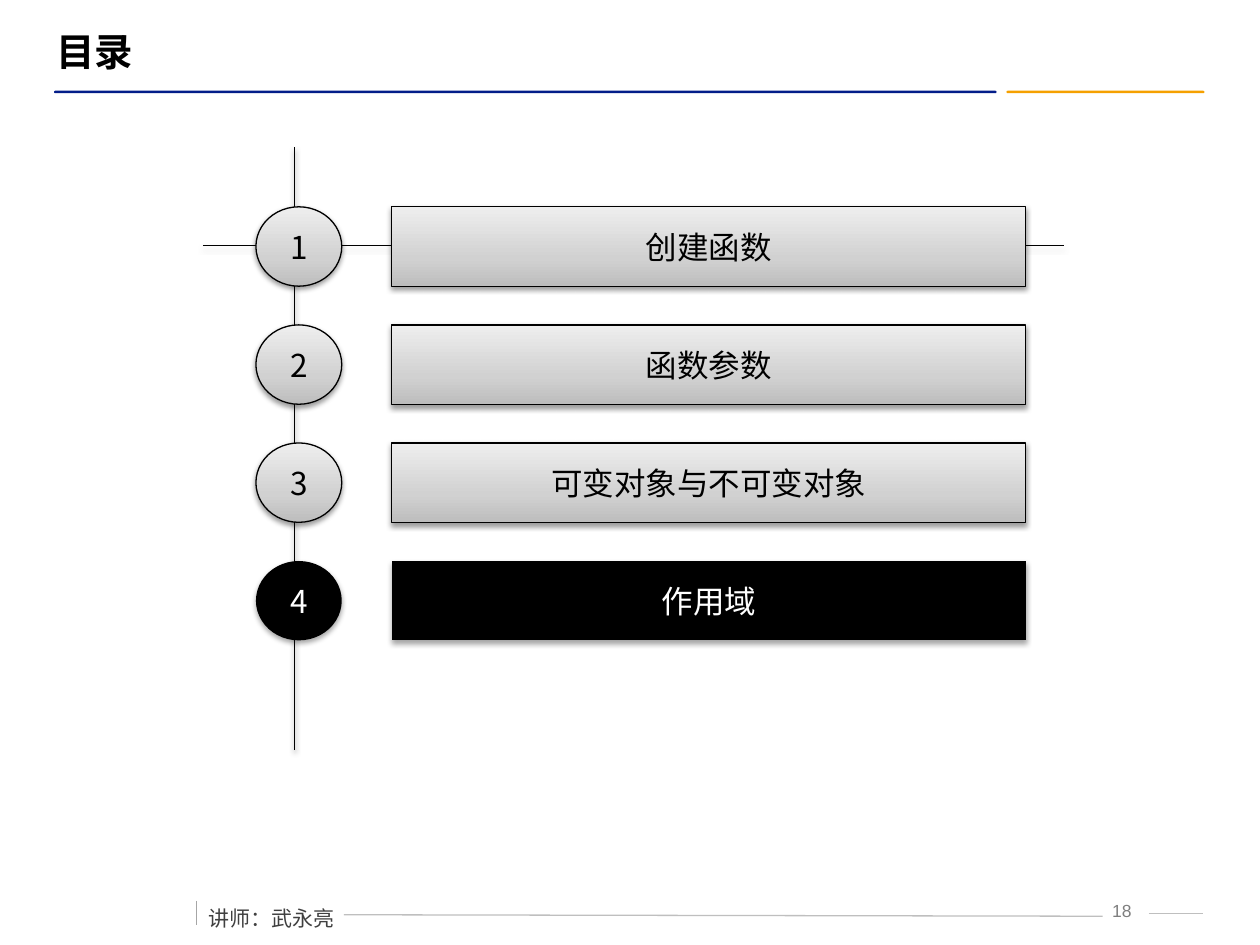
import pptx
import pptx.util
import pptx.dml.color
import pptx.enum.shapes
import pptx.enum.text
import pptx.oxml
import pptx.oxml.ns
from lxml import etree

Cm = pptx.util.Cm
Pt = pptx.util.Pt
SHAPE = pptx.enum.shapes.MSO_SHAPE
ALIGN = pptx.enum.text.PP_ALIGN
ANCHOR = pptx.enum.text.MSO_ANCHOR

COLORS = {"ink": "000000", "paper": "FFFFFF", "navy": "031D89", "orange": "F5A000",
          "rule": "BFBFBF", "tick": "A6A6A6", "number": "7F7F7F", "footer": "404040"}
GRADIENT = [(0, "BDBDBD"), (35, "D1D1D1"), (100, "EEEEEE")]
CJK = "Noto Sans CJK SC"

TOPICS = ["创建函数", "函数参数", "可变对象与不可变对象", "作用域"]
CURRENT = 3
FIRST_TOP, PITCH, HEIGHT = 4.17, 2.38, 1.6
COLUMNS = {"number": (SHAPE.OVAL, 5.16, 1.73),
           "topic": (SHAPE.ACTION_BUTTON_CUSTOM, 7.9, 12.78)}

HEADER_BARS = [(20.29, 3.99, "orange"), (1.09, 19, "navy")]
FOOTER_LINES = [(6.93, 18.44, 22.23, 18.47, "rule"), (23.16, 18.42, 24.26, 18.42, "rule"),
                (3.96, 18.16, 3.96, 18.64, "tick")]
AXES = [(5.94, 2.97, 5.94, 15.11, "ink"), (4.09, 4.95, 21.44, 4.95, "ink")]

TEXTS = [
    {"text": "目录", "at": (0.89, 0.43, 22.61, 1.19), "size": 22, "font": "Arial",
     "color": "ink", "bold": True, "frame": {"vertical_anchor": ANCHOR.MIDDLE}},
    {"text": "18", "at": (22.02, 18.01, 1.19, 0.64), "size": 10, "font": "Arial",
     "color": "number", "para": {"alignment": ALIGN.CENTER}},
    {"text": "讲师：武永亮", "at": (3.96, 17.88, 3.07, 0.91), "size": 12, "font": CJK,
     "color": "footer", "frame": {"word_wrap": False},
     "para": {"line_spacing": 1.5, "space_before": Pt(6)}},
]


def color(name):
    return pptx.dml.color.RGBColor.from_string(COLORS[name])


def assign(target, values):
    for name, value in values.items():
        setattr(target, name, value)


def write(shape, text, size, font, ink, bold=False, frame=None, para=None):
    assign(shape.text_frame, {"word_wrap": True, **(frame or {})})
    paragraph = shape.text_frame.paragraphs[0]
    assign(paragraph, para or {})
    span = paragraph.add_run()
    span.text = text
    assign(span.font, {"size": Pt(size), "name": font, "bold": bold})
    span.font.color.rgb = color(ink)
    latin = span.font._element.find(pptx.oxml.ns.qn("a:latin"))
    east = etree.Element(pptx.oxml.ns.qn("a:ea"), typeface=CJK)
    latin.addnext(east)


def add_effects(properties, alpha=None, distance=1.6):
    effects = properties.find(pptx.oxml.ns.qn("a:effectLst"))
    if effects is None:
        effects = etree.SubElement(properties, pptx.oxml.ns.qn("a:effectLst"))
    if alpha:
        effects.append(pptx.oxml.parse_xml(
            f'<a:outerShdw {pptx.oxml.ns.nsdecls("a")} blurRad="{Pt(3.1)}" '
            f'dist="{Pt(distance)}" dir="5400000" rotWithShape="0">'
            f'<a:srgbClr val="{COLORS["ink"]}"><a:alpha val="{alpha * 1000}"/>'
            '</a:srgbClr></a:outerShdw>'))


def add_line(page, left, top, right, bottom, ink, alpha=None):
    line = page.shapes.add_connector(pptx.enum.shapes.MSO_CONNECTOR.STRAIGHT,
                                     Cm(left), Cm(top), Cm(right), Cm(bottom))
    line.line.color.rgb = color(ink)
    line.line.width = Pt(0.75)
    add_effects(line._element.spPr, alpha)


def add_solid(page, kind, left, top, width, height, fill):
    shape = page.shapes.add_shape(kind, Cm(left), Cm(top), Cm(width), Cm(height))
    shape.shadow.inherit = False
    shape.fill.solid()
    shape.fill.fore_color.rgb = color(fill)
    shape.line.fill.background()
    return shape


def shade(shape):
    shape.fill.gradient()
    shape.fill.gradient_angle = 90
    stops = shape._element.spPr.find(".//" + pptx.oxml.ns.qn("a:gsLst"))
    for stop in list(stops):
        stops.remove(stop)
    for position, value in GRADIENT:
        stop = etree.SubElement(stops, pptx.oxml.ns.qn("a:gs"), pos=str(position * 1000))
        etree.SubElement(stop, pptx.oxml.ns.qn("a:srgbClr"), val=value)
    shape.line.color.rgb = color("ink")
    shape.line.width = Pt(0.75)


def add_entry(page, column, index, text):
    kind, left, width = COLUMNS[column]
    current = index == CURRENT
    shape = add_solid(page, kind, left, FIRST_TOP + index * PITCH, width, HEIGHT, "ink")
    if not current:
        shade(shape)
    add_effects(shape._element.spPr, *((35, 1.8) if current else (38, 1.6)))
    write(shape, text, 18, CJK, "paper" if current else "ink",
          frame={"word_wrap": False, "vertical_anchor": ANCHOR.MIDDLE},
          para={"alignment": ALIGN.CENTER})


deck = pptx.Presentation()
assign(deck, {"slide_width": Cm(25.4), "slide_height": Cm(19.05)})
page = deck.slides.add_slide(deck.slide_layouts[6])

for left, width, fill in HEADER_BARS:
    bar = add_solid(page, SHAPE.ROUNDED_RECTANGLE, left, 1.83, width, 0.05, fill)
    bar.adjustments[0] = 0.5
for line in FOOTER_LINES:
    add_line(page, *line)
for axis in AXES:
    add_line(page, *axis, alpha=38)
for item in TEXTS:
    box = page.shapes.add_textbox(*map(Cm, item["at"]))
    write(box, item["text"], item["size"], item["font"], item["color"],
          item.get("bold", False), item.get("frame"), item.get("para"))
for index, topic in enumerate(TOPICS):
    add_entry(page, "number", index, str(index + 1))
    add_entry(page, "topic", index, topic)

deck.save("out.pptx")
